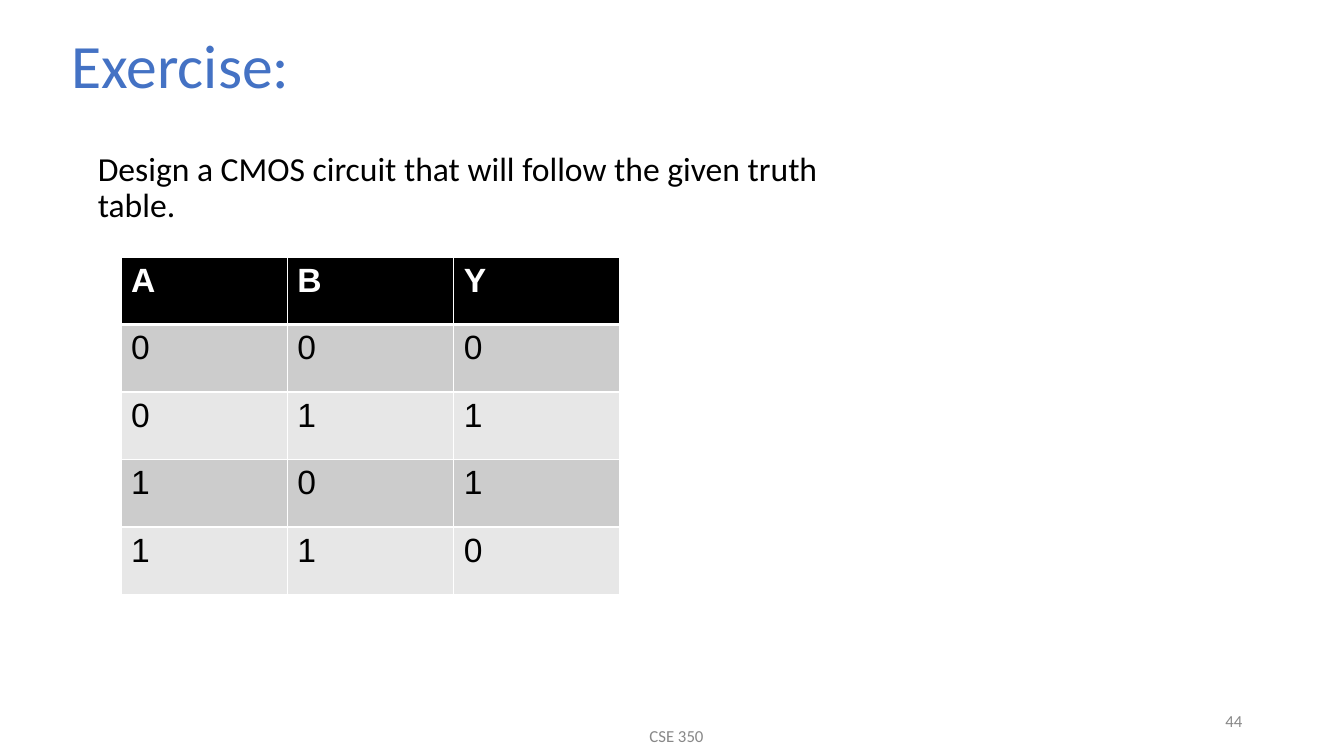
from dataclasses import dataclass
from typing import Any

import pptx
import pptx.dml.color
import pptx.enum.text
import pptx.oxml
import pptx.oxml.ns
import pptx.util

Inches = pptx.util.Inches
Pt = pptx.util.Pt
Align = pptx.enum.text.PP_ALIGN
Anchor = pptx.enum.text.MSO_ANCHOR

COLORS = {
    "title": "4472C4",
    "text": "000000",
    "footer": "888888",
    "header": "000000",
    "header_text": "FFFFFF",
    "border": "FFFFFF",
    "odd_row": "CCCCCC",
    "even_row": "E7E7E7",
}
TRUTH_TABLE = ["ABY", "000", "011", "101", "110"]
COLUMN_WIDTH = 1.65
ROW_HEIGHT = 0.67


@dataclass
class TextBlock:
    text: str
    left: float
    top: float
    width: float
    height: float
    size: int
    color: str
    anchor: Any = Anchor.MIDDLE
    align: Any = Align.LEFT
    line_spacing: float = 1.0
    margin: float = 0.0


TITLE = TextBlock("Exercise:", 0.61, 0.3, 11.5, 0.76, 44, "title", line_spacing=0.9)
TASK = TextBlock(
    "Design a CMOS circuit that will follow the given truth table.",
    0.75, 1.46, 7.68, 5.03, 24, "text",
    anchor=Anchor.TOP, line_spacing=0.9, margin=0.12,
)
FOOTERS = [
    TextBlock("CSE 350", 4.46, 7.1, 4.5, 0.4, 12, "footer", align=Align.CENTER),
    TextBlock("44", 9.42, 6.95, 3, 0.4, 12, "footer", align=Align.RIGHT),
]


def apply_format(target: Any, values: dict[str, Any]) -> None:
    for name, value in values.items():
        setattr(target, name, value)


def rgb(color: str) -> pptx.dml.color.RGBColor:
    return pptx.dml.color.RGBColor.from_string(COLORS[color])


def add_span(para: Any, text: str, font: str, size: int, color: str, bold: bool = False) -> None:
    span = para.add_run()
    span.text = text
    apply_format(span.font, {"name": font, "size": Pt(size), "bold": bold})
    span.font.color.rgb = rgb(color)


def fill_box(box: Any, block: TextBlock) -> None:
    apply_format(box, {
        "left": Inches(block.left),
        "top": Inches(block.top),
        "width": Inches(block.width),
        "height": Inches(block.height),
    })
    apply_format(box.text_frame, {
        "word_wrap": True,
        "auto_size": pptx.enum.text.MSO_AUTO_SIZE.NONE,
        "vertical_anchor": block.anchor,
        "margin_left": Inches(0.1),
        "margin_right": Inches(0.1),
        "margin_top": Inches(0.05),
        "margin_bottom": Inches(0.05),
    })
    para = box.text_frame.paragraphs[0]
    properties = para._p.get_or_add_pPr()
    properties.set("marL", str(Inches(block.margin)))
    properties.set("indent", "0")
    pptx.oxml.ns.qn("a:buNone")
    properties.append(pptx.oxml.parse_xml(
        f'<a:buNone {pptx.oxml.ns.nsdecls("a")}/>'
    ))
    apply_format(para, {
        "alignment": block.align,
        "line_spacing": block.line_spacing,
        "space_before": Pt(0),
    })
    add_span(para, block.text, "Calibri", block.size, block.color)


def add_border(cell: Any, side: str, points: int) -> None:
    cell._tc.get_or_add_tcPr().append(pptx.oxml.parse_xml(
        f'<a:ln{side} {pptx.oxml.ns.nsdecls("a")} w="{Pt(points)}">'
        f'<a:solidFill><a:srgbClr val="{COLORS["border"]}"/></a:solidFill></a:ln{side}>'
    ))


def add_truth_table(page: Any) -> None:
    row_count, column_count = len(TRUTH_TABLE), len(TRUTH_TABLE[0])
    table = page.shapes.add_table(
        row_count, column_count, Inches(1.2), Inches(2.55),
        Inches(COLUMN_WIDTH * column_count), Inches(ROW_HEIGHT * row_count),
    ).table
    for column in table.columns:
        column.width = Inches(COLUMN_WIDTH)
    for row_index, values in enumerate(TRUTH_TABLE):
        table.rows[row_index].height = Inches(ROW_HEIGHT)
        is_header = row_index == 0
        fill = "header" if is_header else "odd_row" if row_index % 2 else "even_row"
        borders = {
            "L": 1,
            "R": 1,
            "T": 3 if row_index == 1 else 1,
            "B": 3 if is_header else 1,
        }
        for column_index, value in enumerate(values):
            cell = table.cell(row_index, column_index)
            for side, points in borders.items():
                add_border(cell, side, points)
            cell.fill.solid()
            cell.fill.fore_color.rgb = rgb(fill)
            color = "header_text" if is_header else "text"
            add_span(cell.text_frame.paragraphs[0], value, "Arial", 24, color, is_header)


def main() -> None:
    deck = pptx.Presentation()
    apply_format(deck, {"slide_width": Inches(13.33), "slide_height": Inches(7.5)})
    page = deck.slides.add_slide(deck.slide_layouts[1])
    fill_box(page.shapes.title, TITLE)
    for block in FOOTERS:
        box = page.shapes.add_textbox(0, 0, Inches(block.width), Inches(block.height))
        fill_box(box, block)
    fill_box(page.placeholders[1], TASK)
    add_truth_table(page)
    deck.save("out.pptx")


if __name__ == "__main__":
    main()
